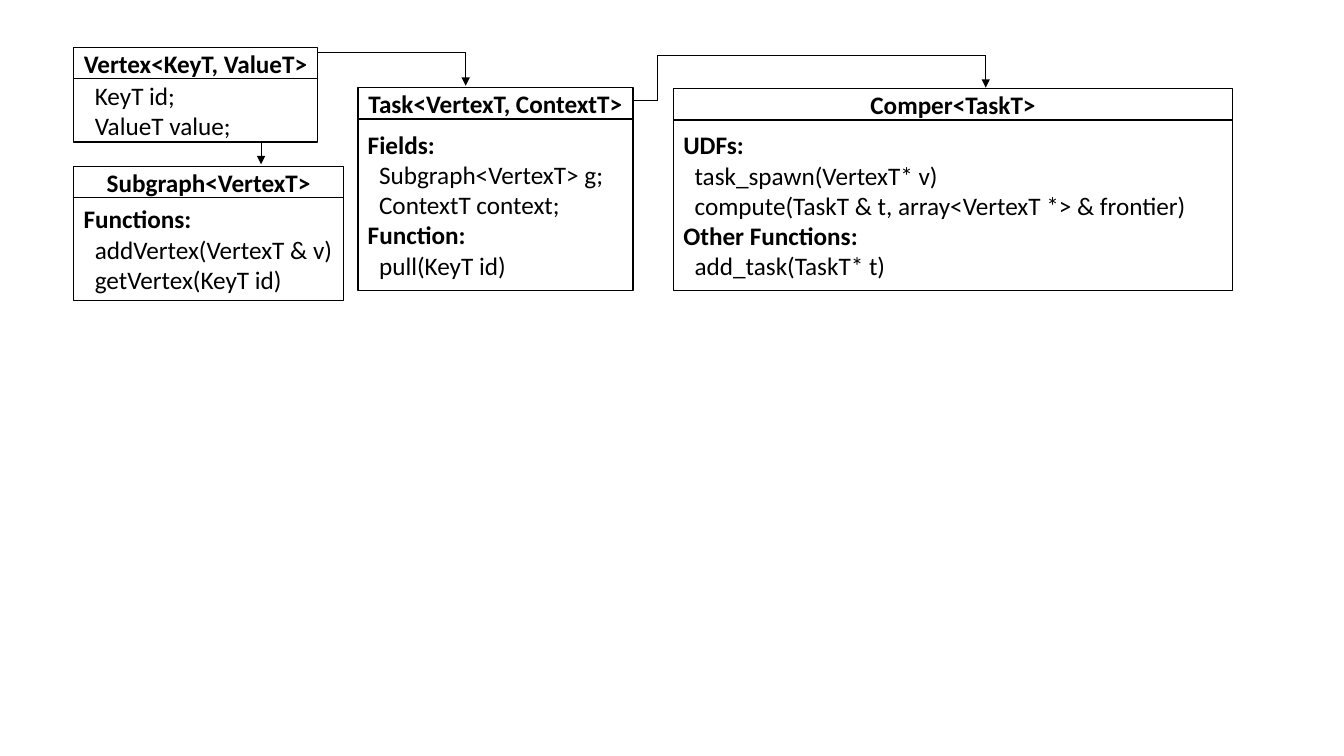
from dataclasses import dataclass
from itertools import pairwise

from lxml.etree import SubElement
from pptx import Presentation
from pptx.dml.color import RGBColor
from pptx.enum.shapes import MSO_CONNECTOR, MSO_SHAPE
from pptx.enum.text import MSO_ANCHOR, PP_ALIGN
from pptx.oxml.ns import qn
from pptx.shapes.autoshape import Shape
from pptx.slide import Slide
from pptx.util import Inches, Pt

SLIDE_WIDTH, SLIDE_HEIGHT = Inches(13.33), Inches(7.5)
COLUMNS, ROWS = 160, 90
HEADER_ROWS = 3.72
MEMBER_INDENT = Pt(8.1)
INK = "000000"


@dataclass(frozen=True)
class Line:
    text: str
    heading: bool = False


@dataclass(frozen=True)
class ClassBox:
    title: str
    column: float
    row: float
    columns: float
    body_rows: float
    lines: tuple[Line, ...]

    @property
    def right(self) -> float:
        return self.column + self.columns

    @property
    def bottom(self) -> float:
        return self.row + HEADER_ROWS + self.body_rows


VERTEX = ClassBox("Vertex<KeyT, ValueT>", 8.76, 5.64, 29.04, 7.56, (
    Line("KeyT id;"),
    Line("ValueT value;"),
))
SUBGRAPH = ClassBox("Subgraph<VertexT>", 8.76, 19.8, 32.16, 12.24, (
    Line("Functions:", heading=True),
    Line("addVertex(VertexT & v)"),
    Line("getVertex(KeyT id)"),
))
TASK = ClassBox("Task<VertexT, ContextT>", 42.6, 10.44, 32.76, 20.4, (
    Line("Fields:", heading=True),
    Line("Subgraph<VertexT> g;"),
    Line("ContextT context;"),
    Line("Function:", heading=True),
    Line("pull(KeyT id)"),
))
COMPER = ClassBox("Comper<TaskT>", 80.16, 10.56, 66.6, 20.28, (
    Line("UDFs:", heading=True),
    Line("task_spawn(VertexT* v)"),
    Line("compute(TaskT & t, array<VertexT *> & frontier)"),
    Line("Other Functions:", heading=True),
    Line("add_task(TaskT* t)"),
))

# Each route lists its corners as (column, row); the arrowhead is at the last.
ROUTES = (
    ((VERTEX.right, 6.24), (55.44, 6.24), (55.44, 10.2)),
    ((31.08, VERTEX.bottom), (31.08, 19.56)),
    ((TASK.right, 12), (78.24, 12), (78.24, 6.6), (117.36, 6.6), (117.36, 10.44)),
)


def across(columns: float) -> int:
    return round(SLIDE_WIDTH * columns / COLUMNS)


def down(rows: float) -> int:
    return round(SLIDE_HEIGHT * rows / ROWS)


def color(hex_value: str) -> RGBColor:
    return RGBColor.from_string(hex_value)


def add_panel(slide: Slide, box: ClassBox, row: float, rows: float) -> Shape:
    panel = slide.shapes.add_shape(
        MSO_SHAPE.RECTANGLE, across(box.column), down(row), across(box.columns), down(rows))
    panel.shadow.inherit = False
    panel.fill.background()
    panel.line.color.rgb = color(INK)
    panel.line.width = Pt(1)
    frame = panel.text_frame
    frame.word_wrap = True
    frame.vertical_anchor = MSO_ANCHOR.MIDDLE
    frame.margin_right = Inches(0.05)
    return panel


def write_lines(panel: Shape, lines: tuple[Line, ...], alignment: PP_ALIGN) -> None:
    frame = panel.text_frame
    for index, line in enumerate(lines):
        paragraph = frame.add_paragraph() if index else frame.paragraphs[0]
        paragraph.alignment = alignment
        if not line.heading:
            paragraph._p.get_or_add_pPr().set("marL", str(int(MEMBER_INDENT)))
        run = paragraph.add_run()
        run.text = line.text
        run.font.name = "Calibri"
        run.font.size = Pt(18)
        run.font.bold = line.heading
        run.font.color.rgb = color(INK)


def draw_class(slide: Slide, box: ClassBox) -> None:
    header = add_panel(slide, box, box.row, HEADER_ROWS)
    header.text_frame.margin_left = header.text_frame.margin_right
    write_lines(header, (Line(box.title, heading=True),), PP_ALIGN.CENTER)
    body = add_panel(slide, box, box.row + HEADER_ROWS, box.body_rows)
    write_lines(body, box.lines, PP_ALIGN.LEFT)


def draw_route(slide: Slide, corners: tuple[tuple[float, float], ...]) -> None:
    for start, end in pairwise(corners):
        segment = slide.shapes.add_connector(
            MSO_CONNECTOR.STRAIGHT,
            across(start[0]), down(start[1]), across(end[0]), down(end[1]))
        segment.line.color.rgb = color(INK)
        segment.line.width = Pt(0.5)
        if end == corners[-1]:
            SubElement(segment.line._get_or_add_ln(), qn("a:tailEnd"), type="triangle")
        SubElement(segment._element.spPr, qn("a:effectLst"))


def main() -> None:
    presentation = Presentation()
    presentation.slide_width = SLIDE_WIDTH
    presentation.slide_height = SLIDE_HEIGHT
    slide = presentation.slides.add_slide(presentation.slide_layouts[6])
    for box in (VERTEX, COMPER, TASK, SUBGRAPH):
        draw_class(slide, box)
    for corners in ROUTES:
        draw_route(slide, corners)
    presentation.save("out.pptx")


if __name__ == "__main__":
    main()
